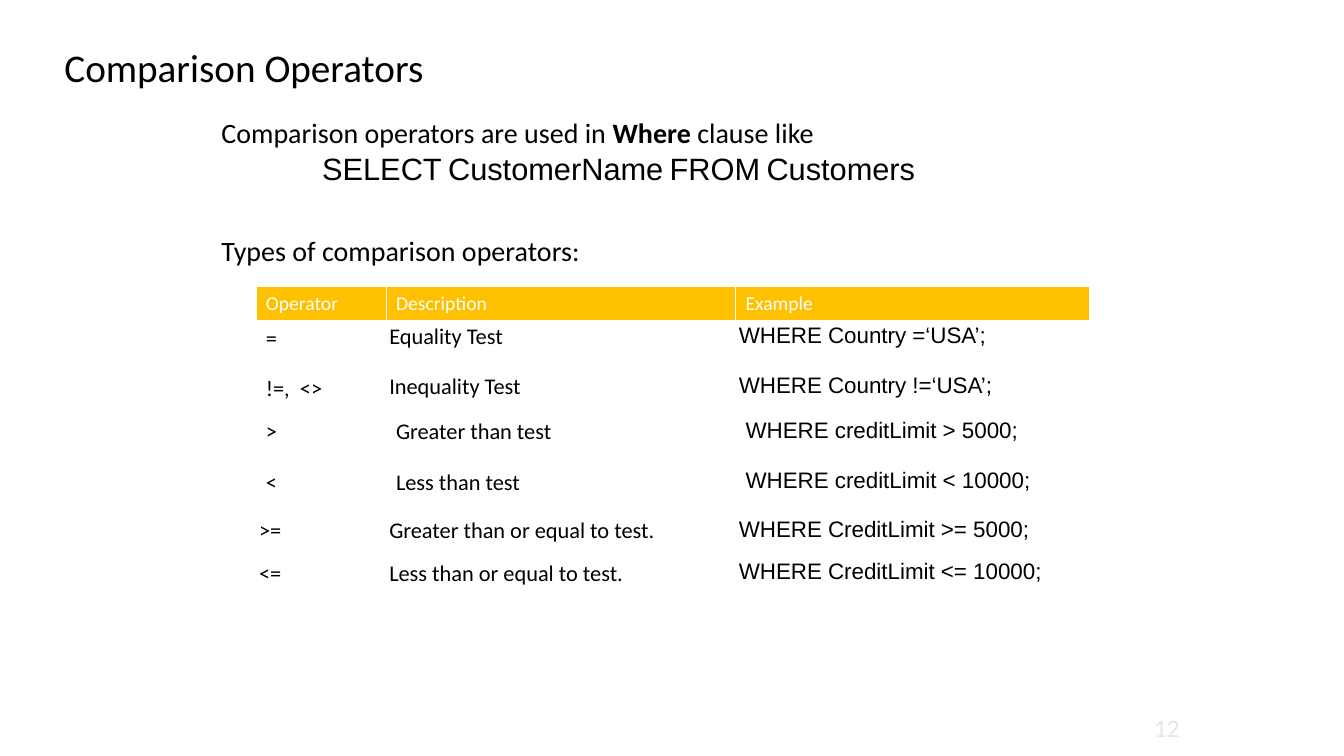
from dataclasses import dataclass

from pptx import Presentation
from pptx.dml.color import RGBColor
from pptx.enum.text import MSO_ANCHOR, PP_ALIGN
from pptx.slide import Slide
from pptx.table import _Cell
from pptx.text.text import TextFrame, _Paragraph
from pptx.util import Cm, Pt

BLACK, WHITE, AMBER, PALE_GREY = "000000", "FFFFFF", "FFC000", "E7E6E6"
WIDE, NARROW = 0.25, 0.08  # cell side margins in cm
COLUMN_WIDTHS = (3.28, 8.81, 8.92)
HEADER_HEIGHT = 0.81
HEADINGS = ("Operator", "Description", "Example")


@dataclass(frozen=True)
class OperatorRow:
    operator: str
    description: str
    example: str
    height: float
    operator_margin: float = WIDE
    text_margin: float = NARROW


OPERATORS = (
    OperatorRow("=", "Equality Test", "WHERE Country =‘USA’;", 1.25),
    OperatorRow("!=,  <>", "Inequality Test", "WHERE Country !=‘USA’;", 1.09),
    OperatorRow(">", "Greater than test", "WHERE creditLimit > 5000;", 1.27, text_margin=WIDE),
    OperatorRow("<", "Less than test", "WHERE creditLimit < 10000;", 1.27, text_margin=WIDE),
    OperatorRow(">=", "Greater than or equal to test.", "WHERE CreditLimit >= 5000;", 1.07, NARROW),
    OperatorRow("<=", "Less than or equal to test.", "WHERE CreditLimit <= 10000;", 1.07, NARROW),
)


def colour(value: str) -> RGBColor:
    return RGBColor.from_string(value)


def add_text(paragraph: _Paragraph, text: str, size: float = 20, font: str = "Calibri",
             text_colour: str = BLACK, bold: bool = False) -> None:
    run = paragraph.add_run()
    run.text = text
    run.font.size = Pt(size)
    run.font.name = font
    run.font.bold = bold
    run.font.color.rgb = colour(text_colour)


def add_text_box(slide: Slide, left: float, top: float, width: float, height: float) -> TextFrame:
    frame = slide.shapes.add_textbox(Cm(left), Cm(top), Cm(width), Cm(height)).text_frame
    frame.word_wrap = True
    return frame


def fill_title(slide: Slide) -> None:
    title = slide.shapes.title
    title.left, title.top, title.width, title.height = Cm(1.37), Cm(0.91), Cm(31.06), Cm(1.68)
    title.text_frame.vertical_anchor = MSO_ANCHOR.MIDDLE
    paragraph = title.text_frame.paragraphs[0]
    paragraph.alignment = PP_ALIGN.LEFT
    paragraph.line_spacing = 0.9
    add_text(paragraph, "Comparison Operators", size=28)


def add_introduction(slide: Slide) -> None:
    frame = add_text_box(slide, 5.33, 2.62, 22.61, 5.31)
    usage = frame.paragraphs[0]
    usage.line_spacing = 1.2
    add_text(usage, "Comparison operators are used in ")
    add_text(usage, "Where", bold=True)
    add_text(usage, " clause like")

    query = frame.add_paragraph()
    query._p.get_or_add_pPr().set("marL", str(Cm(2.54)))
    for position, word in enumerate("SELECT CustomerName FROM Customers".split()):
        if position:
            add_text(query, " ")
        add_text(query, word, size=22, font="Arial")

    types = frame.add_paragraph()
    types.line_spacing = 1.2
    types.space_before = Pt(29)
    add_text(types, "Types of comparison operators:")


def fill_cell(cell: _Cell, text: str, margin: float, fill: str = "", **text_format) -> None:
    """Write one cell; side margins are in cm and an empty fill means none."""
    cell.margin_left = cell.margin_right = Cm(margin)
    cell.margin_top = cell.margin_bottom = Cm(NARROW if margin == NARROW else 0.13)
    if fill:
        cell.fill.solid()
        cell.fill.fore_color.rgb = colour(fill)
    else:
        cell.fill.background()
    add_text(cell.text_frame.paragraphs[0], text, **text_format)


def add_operator_table(slide: Slide) -> None:
    heights = (HEADER_HEIGHT, *(row.height for row in OPERATORS))
    table = slide.shapes.add_table(
        len(heights), len(COLUMN_WIDTHS), Cm(6.45), Cm(7.22),
        Cm(sum(COLUMN_WIDTHS)), Cm(sum(heights))).table
    table.horz_banding = False
    for column, width in zip(table.columns, COLUMN_WIDTHS):
        column.width = Cm(width)
    for table_row, height in zip(table.rows, heights):
        table_row.height = Cm(height)

    for index, heading in enumerate(HEADINGS):
        fill_cell(table.cell(0, index), heading, WIDE, AMBER, size=14, text_colour=WHITE)
    for index, row in enumerate(OPERATORS, start=1):
        fill_cell(table.cell(index, 0), row.operator, row.operator_margin, size=16)
        fill_cell(table.cell(index, 1), row.description, row.text_margin, size=16)
        fill_cell(table.cell(index, 2), row.example, row.text_margin, size=16, font="Arial")


def add_page_number(slide: Slide) -> None:
    frame = add_text_box(slide, 26.5, 17.83, 3.48, 1.02)
    frame.vertical_anchor = MSO_ANCHOR.MIDDLE
    paragraph = frame.paragraphs[0]
    paragraph.alignment = PP_ALIGN.RIGHT
    add_text(paragraph, "12", size=18, text_colour=PALE_GREY)


def main() -> None:
    presentation = Presentation()
    presentation.slide_width, presentation.slide_height = Cm(33.87), Cm(19.05)
    slide = presentation.slides.add_slide(presentation.slide_layouts[5])
    fill_title(slide)
    add_introduction(slide)
    add_operator_table(slide)
    add_page_number(slide)
    presentation.save("out.pptx")


if __name__ == "__main__":
    main()
